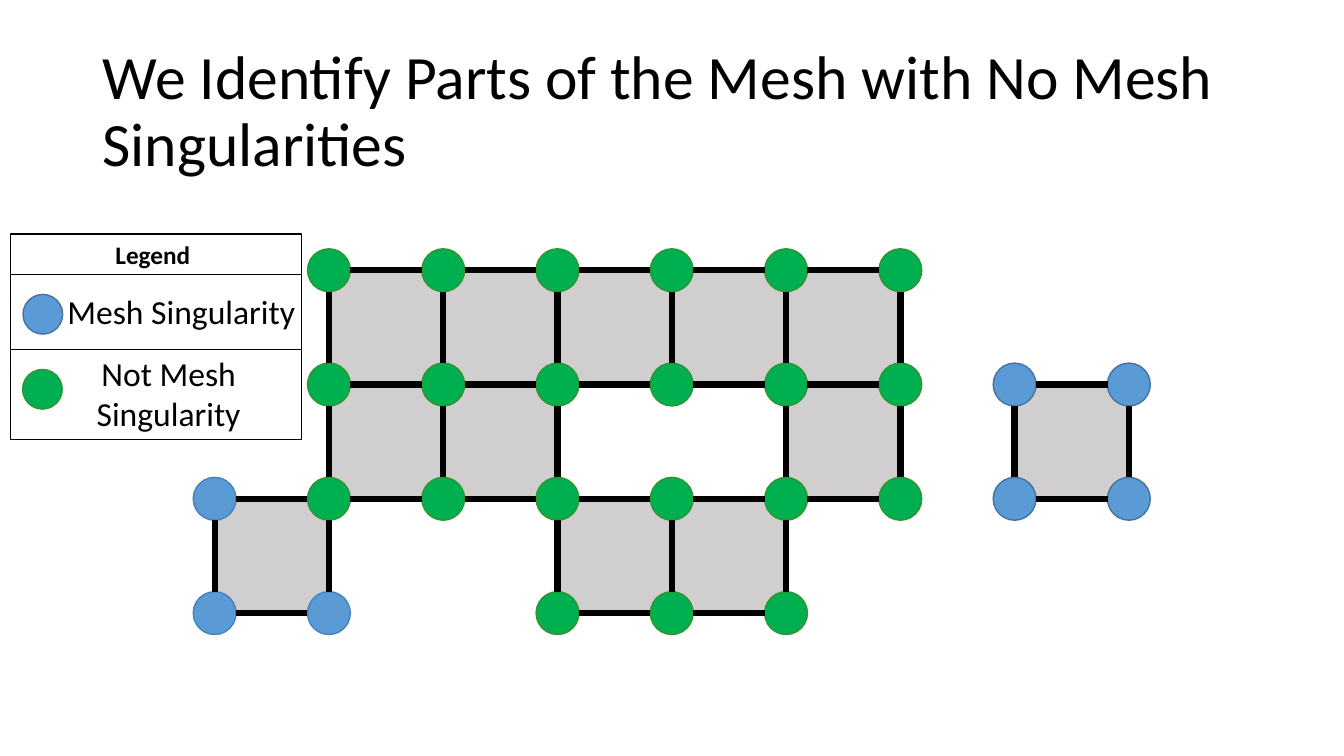
from itertools import chain

from lxml.etree import SubElement
from pptx import Presentation
from pptx.dml.color import RGBColor
from pptx.enum.shapes import MSO_CONNECTOR, MSO_SHAPE
from pptx.enum.text import MSO_ANCHOR, PP_ALIGN
from pptx.oxml.ns import qn
from pptx.util import Cm, Pt

# Mesh grid, lengths in cm
LEFT, TOP, PITCH = 5.41, 6.81, 2.88
RADIUS = 0.54
BLOCKS = [(1, 0, 5), (1, 1, 2), (5, 1, 1), (3, 2, 2), (7, 1, 1), (0, 2, 1)]  # column, row, cells
LEFT_SINGULARITIES = {(0, 2), (0, 3), (1, 3)}
ISLAND_COLUMN = 7

GREEN = ("00B050", "319431")
BLUE = ("5B9BD5", "43739E")
LEFT_BLUE = ("5B9BD5", "4283BD")
GREY = ("D0CECE", "D0CECE")


def color(value):
    return RGBColor.from_string(value)


class Slide:
    font = "Calibri"
    ink = "000000"

    def __init__(self, deck):
        self.page = deck.slides.add_slide(deck.slide_layouts[5])
        self.shapes = self.page.shapes

    def group(self):
        self.shapes = self.page.shapes.add_group_shape().shapes

    def ungroup(self):
        self.shapes = self.page.shapes

    def fill_text(self, box, text, size, align=PP_ALIGN.LEFT, bold=False, spacing=1.0):
        para = box.text_frame.paragraphs[0]
        para.alignment, para.line_spacing = align, spacing
        span = para.add_run()
        span.text = text
        for name, value in {"name": self.font, "size": Pt(size), "bold": bold}.items():
            setattr(span.font, name, value)
        span.font.color.rgb = color(self.ink)

    def place(self, shape, at):
        for name, value in zip(("left", "top", "width", "height"), at):
            setattr(shape, name, Cm(value))

    def title(self, at, text, size):
        box = self.page.shapes.title
        self.place(box, at)
        box.text_frame.vertical_anchor = MSO_ANCHOR.MIDDLE
        self.fill_text(box, text, size, spacing=0.9)

    def text(self, at, text, size, wrap=False, **style):
        box = self.shapes.add_textbox(*map(Cm, at))
        box.text_frame.word_wrap = wrap
        self.fill_text(box, text, size, **style)

    def shape(self, kind, at, colors):
        fill, line = colors
        shape = self.shapes.add_shape(kind, *map(Cm, at))
        shape.shadow.inherit = False
        if fill:
            shape.fill.solid()
            shape.fill.fore_color.rgb = color(fill)
        else:
            shape.fill.background()
        shape.line.color.rgb = color(line)
        shape.line.width = Pt(1)

    def dot(self, x, y, radius, colors):
        self.shape(MSO_SHAPE.OVAL, (x - radius, y - radius, 2 * radius, 2 * radius), colors)

    def line(self, start, end, width):
        line = self.shapes.add_connector(MSO_CONNECTOR.STRAIGHT, *map(Cm, (*start, *end)))
        line.line.color.rgb = color(self.ink)
        line.line.width = Pt(width)
        SubElement(line._element.spPr, qn("a:effectLst"))


def grid_point(column, row):
    return LEFT + column * PITCH, TOP + row * PITCH


def cell_edges(column, row):
    a, b = (column, row), (column + 1, row)
    c, d = (column, row + 1), (column + 1, row + 1)
    return (a, b), (c, d), (a, c), (b, d)


def node_colors(node):
    if node in LEFT_SINGULARITIES:
        return LEFT_BLUE
    return BLUE if node[0] >= ISLAND_COLUMN else GREEN


def draw_mesh(slide):
    cells = [(column + step, row) for column, row, count in BLOCKS for step in range(count)]
    edges = sorted(set(chain.from_iterable(cell_edges(*cell) for cell in cells)))
    nodes = sorted(set(chain.from_iterable(edges)))
    slide.group()
    # Faces
    for column, row, count in BLOCKS:
        slide.shape(MSO_SHAPE.RECTANGLE, (*grid_point(column, row), count * PITCH, PITCH), GREY)
    # Nodes
    for node in nodes:
        slide.dot(*grid_point(*node), RADIUS, node_colors(node))
    # Edges run from rim to rim
    for start, end in edges:
        (x1, y1), (x2, y2) = grid_point(*start), grid_point(*end)
        dx, dy = (RADIUS, 0) if y1 == y2 else (0, RADIUS)
        slide.line((x1 + dx, y1 + dy), (x2 - dx, y2 - dy), 4.5)
    slide.ungroup()


def draw_legend(slide):
    left, top, width, height = 0.26, 5.9, 7.34, 5.18
    slide.dot(1.08, 7.92, 0.5, BLUE)
    slide.text((1.45, 7.21, 6.3, 1.27), "Mesh Singularity", 24)
    slide.dot(1.07, 9.81, 0.5, GREEN)
    slide.text((1.43, 8.76, 5.64, 2.31), "Not Mesh Singularity", 24, wrap=True, align=PP_ALIGN.CENTER)
    slide.shape(MSO_SHAPE.RECTANGLE, (left, top, width, height), (None, slide.ink))
    slide.text((2.66, top, 2.41, 1.02), "Legend", 18, bold=True)
    for y in (8.81, 6.91):
        slide.line((left, y), (left + width, y), 0.5)


def main():
    deck = Presentation()
    deck.slide_width, deck.slide_height = Cm(33.87), Cm(19.05)
    slide = Slide(deck)
    slide.title((2.33, 1.01, 29.21, 3.68), "We Identify Parts of the Mesh with No Mesh Singularities", 44)
    draw_mesh(slide)
    draw_legend(slide)
    deck.save("out.pptx")


if __name__ == "__main__":
    main()
